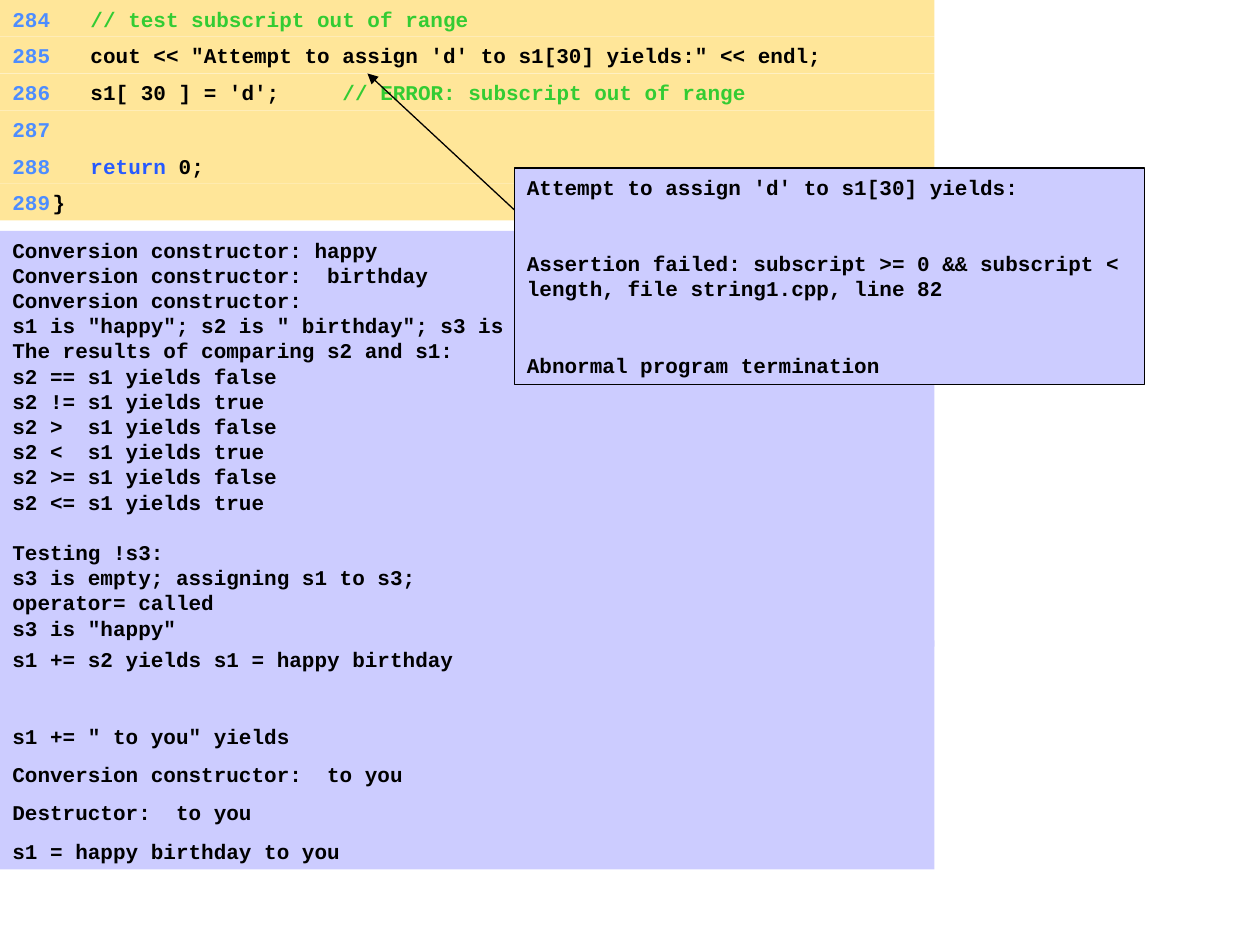
from collections import namedtuple

from lxml.etree import SubElement
from pptx import Presentation
from pptx.dml.color import RGBColor
from pptx.enum.shapes import MSO_CONNECTOR, MSO_SHAPE
from pptx.enum.text import MSO_ANCHOR, PP_ALIGN
from pptx.oxml.ns import qn
from pptx.util import Inches, Pt

Box = namedtuple("Box", "left top width height")

# The slide is a grid of 120 columns by 90 rows.
CELL = Inches(10) / 120
COLUMNS, ROWS = 120, 90

FONT, FONT_SIZE, LINE_HEIGHT = "Courier New", 12, 14.4
BLACK = RGBColor(0x00, 0x00, 0x00)
NUMBER_BLUE = RGBColor(0x4D, 0x8D, 0xFF)
KEYWORD_BLUE = RGBColor(0x27, 0x5A, 0xFF)
COMMENT_GREEN = RGBColor(0x33, 0xCC, 0x33)
CODE_FILL = RGBColor(0xFF, 0xE6, 0x99)
OUTPUT_FILL = RGBColor(0xCC, 0xCC, 0xFF)

CODE_TABS = (0.32, 0.62, 2.62)  # code, indented code, trailing comment
FIRST_LINE_NUMBER = 284
CODE_LINES = [
    [("\t\t// test subscript out of range", COMMENT_GREEN)],
    [("\t\tcout << \"Attempt to assign 'd' to s1[30] yields:\" << endl;", BLACK)],
    [("\t\ts1[ 30 ] = 'd';\t", BLACK),
     ("// ERROR: subscript out of range", COMMENT_GREEN)],
    [],
    [("\t\treturn", KEYWORD_BLUE), (" 0;", BLACK)],
    [("\t}", BLACK)],
]

# Each group of output lines is set apart from the next by one line's height.
COMPARISON_OUTPUT = [
    ["Conversion constructor: happy",
     "Conversion constructor:  birthday",
     "Conversion constructor:",
     's1 is "happy"; s2 is " birthday"; s3 is ""',
     "The results of comparing s2 and s1:",
     "s2 == s1 yields false",
     "s2 != s1 yields true",
     "s2 >  s1 yields false",
     "s2 <  s1 yields true",
     "s2 >= s1 yields false",
     "s2 <= s1 yields true"],
    ["Testing !s3:",
     "s3 is empty; assigning s1 to s3;",
     "operator= called",
     's3 is "happy"'],
]
APPEND_OUTPUT = [
    ["s1 += s2 yields s1 = happy birthday"],
    ['s1 += " to you" yields',
     "Conversion constructor:  to you",
     "Destructor:  to you",
     "s1 = happy birthday to you"],
]
ERROR_OUTPUT = [
    ["Attempt to assign 'd' to s1[30] yields:"],
    ["Assertion failed: subscript >= 0 && subscript < length, "
     "file string1.cpp, line 82"],
    ["Abnormal program termination"],
]


def cells(count):
    return round(count * CELL)


def add_panel(slide, box, fill):
    """Add a borderless filled rectangle for top-left text."""
    panel = slide.shapes.add_shape(MSO_SHAPE.RECTANGLE, *map(cells, box))
    panel.shadow.inherit = False
    panel.fill.solid()
    panel.fill.fore_color.rgb = fill
    panel.line.fill.background()
    panel.text_frame.word_wrap = True
    panel.text_frame.vertical_anchor = MSO_ANCHOR.TOP
    return panel


def add_run(paragraph, text, color):
    run = paragraph.add_run()
    run.text = text
    run.font.name = FONT
    run.font.size = Pt(FONT_SIZE)
    run.font.bold = True
    run.font.color.rgb = color


def set_tabs(paragraph, positions):
    tab_list = SubElement(paragraph._p.get_or_add_pPr(), qn("a:tabLst"))
    for position in positions:
        SubElement(tab_list, qn("a:tab"), pos=str(Inches(position)), algn="l")


def add_code(slide, box):
    """Stack one numbered strip per line of code."""
    row_height = box.height / len(CODE_LINES)
    for index, parts in enumerate(CODE_LINES):
        row = Box(box.left, box.top + index * row_height, box.width, row_height)
        paragraph = add_panel(slide, row, CODE_FILL).text_frame.paragraphs[0]
        paragraph.alignment = PP_ALIGN.LEFT
        set_tabs(paragraph, CODE_TABS)
        add_run(paragraph, str(FIRST_LINE_NUMBER + index), NUMBER_BLUE)
        for text, color in parts:
            add_run(paragraph, text, color)


def add_output(slide, box, groups, spacing=0):
    panel = add_panel(slide, box, OUTPUT_FILL)
    frame = panel.text_frame
    for group_index, lines in enumerate(groups):
        for line_index, line in enumerate(lines):
            if group_index == line_index == 0:
                paragraph = frame.paragraphs[0]
            else:
                paragraph = frame.add_paragraph()
                starts_group = line_index == 0
                gap = 2 * spacing + LINE_HEIGHT if starts_group else spacing
                paragraph.space_before = Pt(gap)
            paragraph.alignment = PP_ALIGN.LEFT
            add_run(paragraph, line, BLACK)
    return panel


def add_error_callout(slide, box):
    """Add the outlined error output with an arrow back to the code."""
    panel = add_output(slide, box, ERROR_OUTPUT, spacing=7.5)
    panel.line.color.rgb = BLACK
    panel.line.width = Pt(0.75)

    start = (box.left, box.top + 4)
    tip = (box.left - 14, box.top - 9)
    arrow = slide.shapes.add_connector(
        MSO_CONNECTOR.STRAIGHT, *map(cells, start + tip))
    arrow.line.color.rgb = BLACK
    arrow.line.width = Pt(0.75)
    SubElement(arrow.line._get_or_add_ln(), qn("a:tailEnd"), type="triangle")
    SubElement(arrow._element.spPr, qn("a:effectLst"))


def main():
    presentation = Presentation()
    presentation.slide_width = cells(COLUMNS)
    presentation.slide_height = cells(ROWS)
    slide = presentation.slides.add_slide(presentation.slide_layouts[6])

    add_code(slide, Box(0, 0, 89, 21))
    add_output(slide, Box(0, 22, 89, 39.6), COMPARISON_OUTPUT)
    add_output(slide, Box(0, 61, 89, 21.8), APPEND_OUTPUT, spacing=7.5)
    add_error_callout(slide, Box(49, 16, 60, 20.6))

    presentation.save("out.pptx")


if __name__ == "__main__":
    main()
